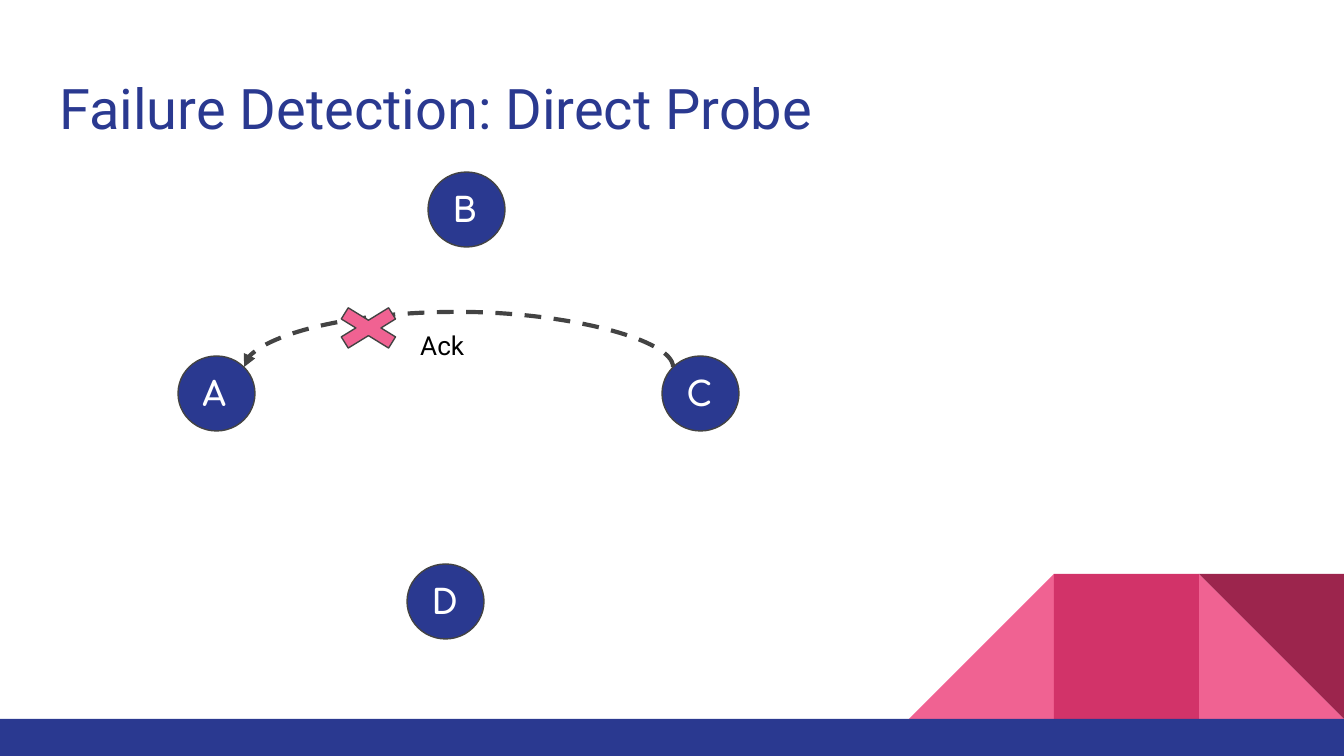
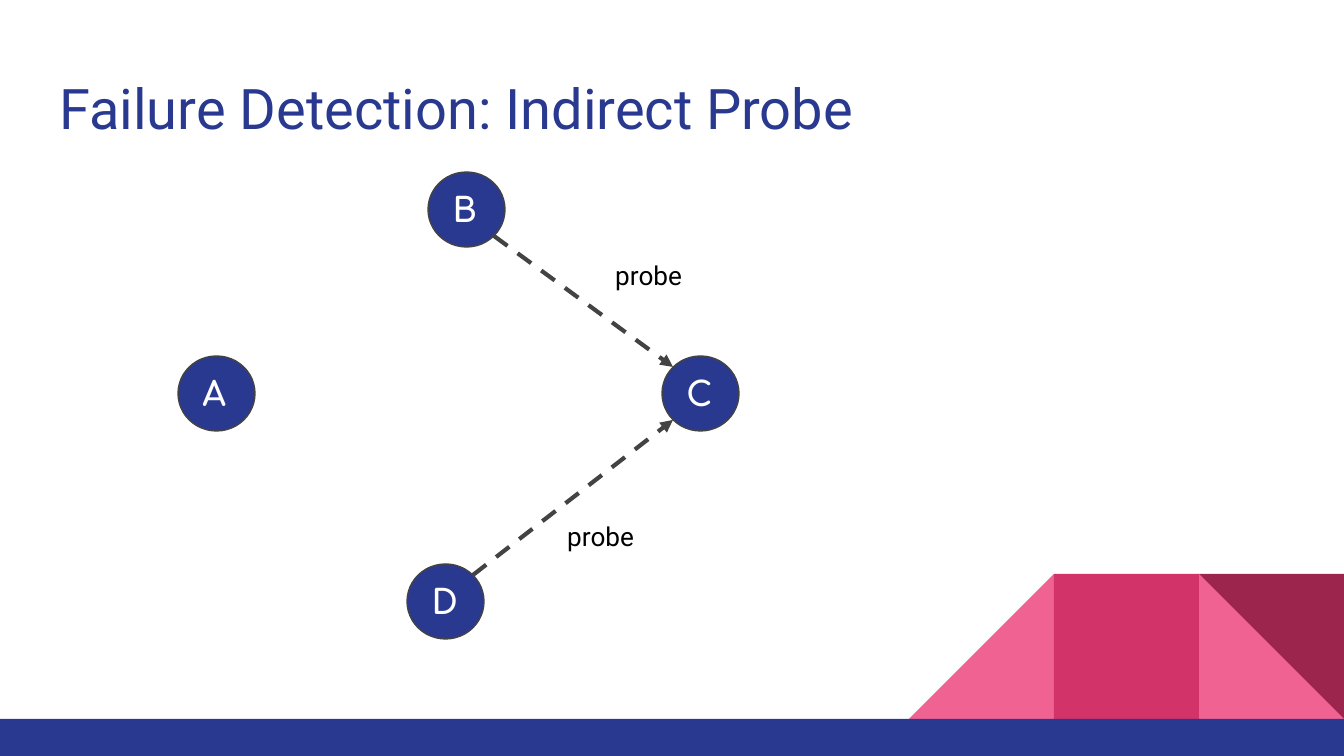
"""Builds two slides on failure detection by direct and indirect probes."""
from lxml import etree
from pptx import Presentation, util as u
from pptx.dml.color import RGBColor
from pptx.enum import dml, shapes, text
from pptx.oxml.ns import qn

NAVY, PINK, ROSE, WINE = "2A3990", "F06292", "D23369", "9C254D"
GREY, WHITE, BLACK = "434343", "FFFFFF", "000000"
KIND, LINK = shapes.MSO_SHAPE, shapes.MSO_CONNECTOR
TITLE = {"name": "Roboto", "size": u.Pt(30), "color": NAVY}
LABEL = {"name": "Roboto", "size": u.Pt(14), "color": BLACK}
LETTER = {"name": "Comfortaa", "size": u.Pt(18), "bold": True, "color": WHITE}
FRAME = {"word_wrap": True, "margin_left": u.Inches(0.1), "margin_right": u.Inches(0.1),
         "margin_top": u.Inches(0.1), "margin_bottom": u.Inches(0.1)}


def px(*lengths):
    return [u.Emu(round(length * 914400 / 134.4)) for length in lengths]


def place(slide, kind, box, fill=None, outline=None, words="", font=LABEL):
    if kind is None:
        item = slide.shapes.add_textbox(*px(*box))
    else:
        item = slide.shapes.add_shape(kind, *px(*box))
        item.shadow.inherit = False
        item.fill.solid()
        item.fill.fore_color.rgb = RGBColor.from_string(fill)
        if outline:
            item.line.color.rgb = RGBColor.from_string(outline)
            item.line.width = u.Pt(0.75)
        else:
            item.line.fill.background()
    if words:
        frame = item.text_frame
        for key, value in FRAME.items():
            setattr(frame, key, value)
        frame.vertical_anchor = text.MSO_ANCHOR.MIDDLE if kind else text.MSO_ANCHOR.TOP
        paragraph = frame.paragraphs[0]
        paragraph.alignment = text.PP_ALIGN.LEFT
        run = paragraph.add_run()
        run.text = words
        for key, value in font.items():
            if key == "color":
                run.font.color.rgb = RGBColor.from_string(value)
            else:
                setattr(run.font, key, value)
    return item


NODE_W, NODE_H = 77, 75
NODES = {"A": (178, 356), "C": (662, 356), "D": (407, 564), "B": (428, 172)}
SITES = {1: (-1, -1), 3: (-1, 1), 5: (1, 1), 7: (1, -1)}
BLOCK, BLOCK_TOP, BAND_TOP = 145, 574, 719
DECOR = [(KIND.RIGHT_TRIANGLE, 2, PINK, {}),
         (KIND.RIGHT_TRIANGLE, 0, PINK, {"flipH": "1"}),
         (KIND.RECTANGLE, 1, ROSE, {}),
         (KIND.RIGHT_TRIANGLE, 2, WINE, {"rot": "10800000"})]
SLIDES = [
    {"title": "Failure Detection: Direct Probe",
     "links": [("C", 1, "A", 7, LINK.CURVE)],
     "labels": [("Ack", (407, 316, 148, 56))],
     "cross": (323, 300, 91, 56)},
    {"title": "Failure Detection: Indirect Probe",
     "links": [("B", 5, "C", 1, LINK.STRAIGHT), ("D", 7, "C", 3, LINK.STRAIGHT)],
     "labels": [("probe", (602, 246, 255, 56)), ("probe", (554, 507, 255, 56))],
     "cross": None},
]

deck = Presentation()
deck.slide_width, deck.slide_height = px(1344, 756)

for content in SLIDES:
    slide = deck.slides.add_slide(deck.slide_layouts[6])
    slide.background.fill.solid()
    slide.background.fill.fore_color.rgb = RGBColor.from_string(WHITE)
    for kind, column, fill, turn in DECOR:
        block = place(slide, kind, (909 + column * BLOCK, BLOCK_TOP, BLOCK, BLOCK), fill)
        for key, value in turn.items():
            block._element.spPr.xfrm.set(key, value)
    place(slide, KIND.RECTANGLE, (0, BAND_TOP, 1344, 37), NAVY)
    place(slide, None, (46, 60, 1253, 89), words=content["title"], font=TITLE)

    nodes = {}
    for name, (left, top) in NODES.items():
        nodes[name] = place(slide, KIND.OVAL, (left, top, NODE_W, NODE_H), NAVY, GREY, name, LETTER)
    for words, box in content["labels"]:
        place(slide, None, box, words=words)

    for source, source_site, target, target_site, route in content["links"]:
        ends = []
        for name, site in ((source, source_site), (target, target_site)):
            for start, size, side in zip(NODES[name], (NODE_W, NODE_H), SITES[site]):
                ends.append(round(start + size / 2 + side * size / 2 * 0.707))
        x1, y1, x2, y2 = ends
        if route == LINK.CURVE:
            middle, half = (x1 + x2) / 2, (x1 - x2) / 2
            ends = [middle, y1 - half, middle, y1 + half]
        arrow = slide.shapes.add_connector(route, *px(*ends))
        props = arrow._element.spPr
        if route == LINK.CURVE:
            arrow.width = u.Emu(600)
            props.xfrm.set("rot", "5400000")
            guides = props.find(qn("a:prstGeom")).find(qn("a:avLst"))
            etree.SubElement(guides, qn("a:gd"), name="adj1", fmla="val -52032900")
        arrow.line.color.rgb = RGBColor.from_string(GREY)
        arrow.line.width = u.Pt(2.25)
        arrow.line.dash_style = dml.MSO_LINE.DASH
        etree.SubElement(props.find(qn("a:ln")), qn("a:tailEnd"), type="triangle")
        etree.SubElement(props, qn("a:effectLst"))
        joints = arrow._element.find(qn("p:nvCxnSpPr")).find(qn("p:cNvCxnSpPr"))
        for tag, name, site in (("a:stCxn", source, source_site), ("a:endCxn", target, target_site)):
            etree.SubElement(joints, qn(tag), id=str(nodes[name].shape_id), idx=str(site))

    if content["cross"]:
        cross = place(slide, KIND.MATH_MULTIPLY, content["cross"], PINK, GREY)
        cross.adjustments[0] = 0.235

deck.save("out.pptx")
